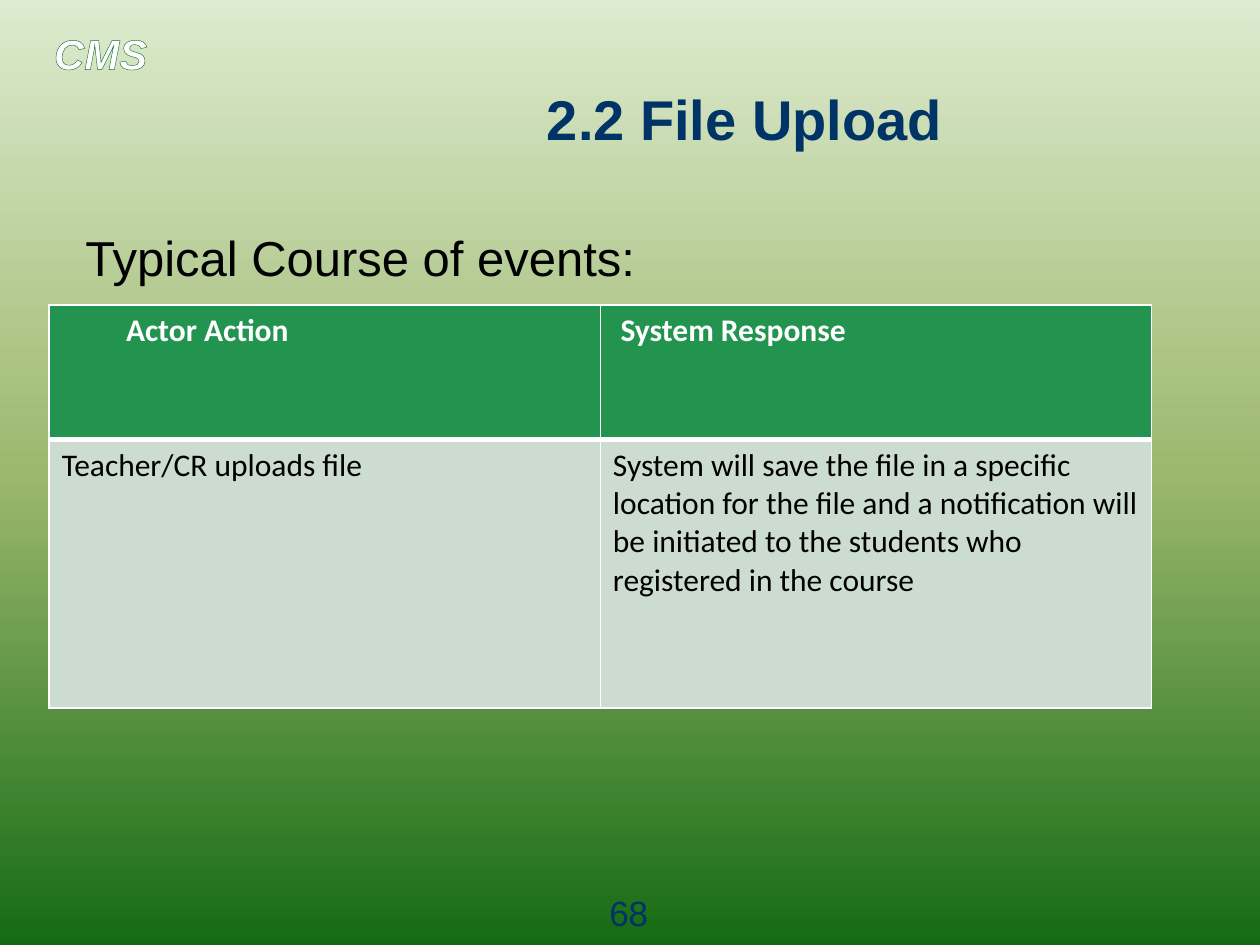
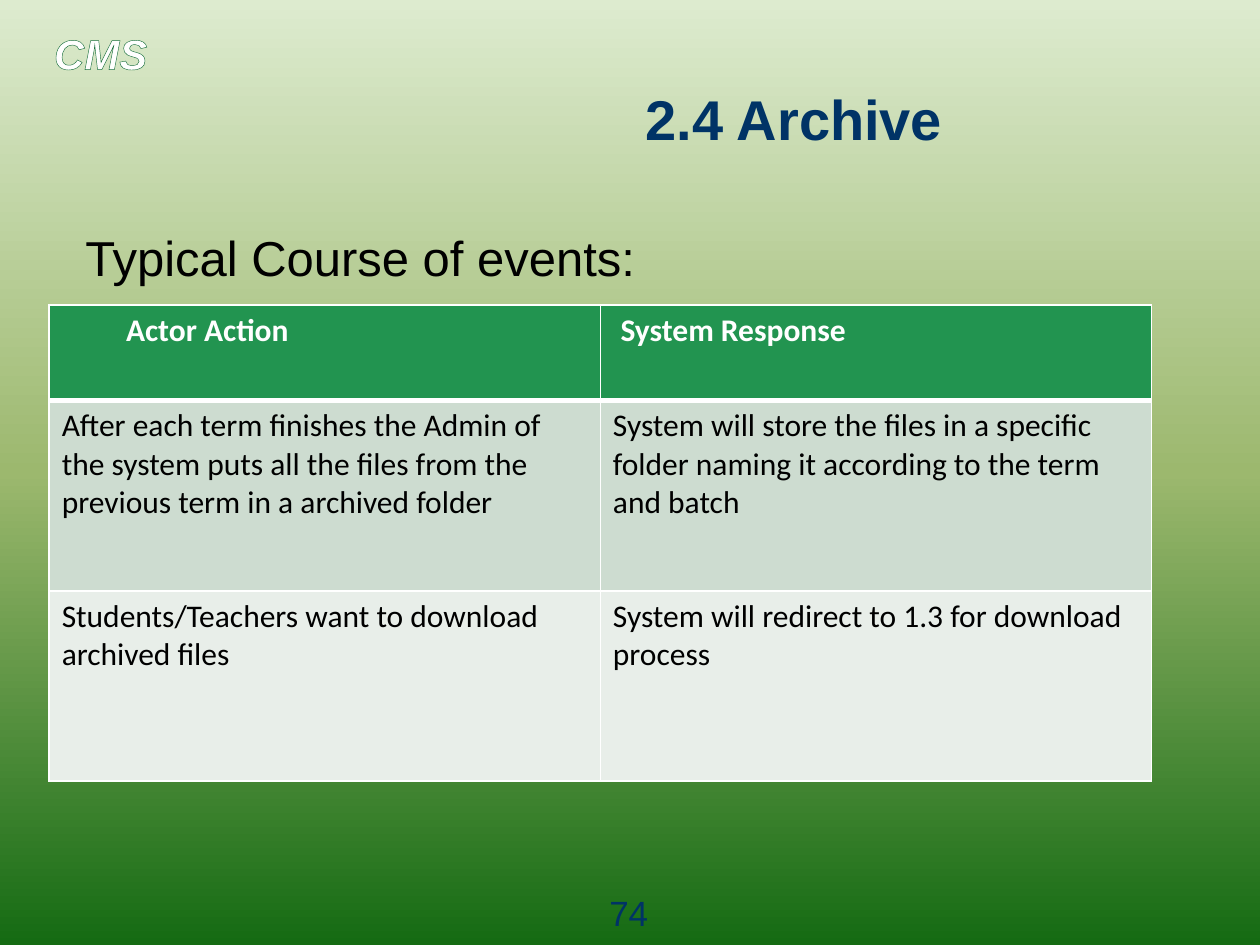
from dataclasses import dataclass

import lxml.etree
import pptx
import pptx.dml.color
import pptx.enum.text
import pptx.oxml
import pptx.oxml.ns
import pptx.presentation
import pptx.slide
import pptx.table
import pptx.text.text
import pptx.util

Inches = pptx.util.Inches
Pt = pptx.util.Pt
Align = pptx.enum.text.PP_ALIGN
Anchor = pptx.enum.text.MSO_ANCHOR

COLORS = {
    "sky": "DDEBCF",
    "meadow": "9CB86E",
    "forest": "156B13",
    "navy": "003366",
    "black": "000000",
    "white": "FFFFFF",
    "brand_outline": "196F3C",
    "header": "229450",
    "odd_row": "CDDCD0",
    "even_row": "E8EEE9",
}
BACKGROUND_STOPS = ((0, "sky"), (50, "meadow"), (100, "forest"))
COLUMN_HEADS = ("Actor Action", "System Response")
HEAD_MARGINS = (0.61, 0.16)
CELL_MARGIN = 0.1
COLUMN_WIDTH = 4.375
TABLE_LEFT, TABLE_TOP = 0.39, 2.42
THIN, THICK = 1, 3


@dataclass(frozen=True)
class TextStyle:
    size: int
    color: str
    font: str = "Arial"
    bold: bool = False
    italic: bool = False


@dataclass(frozen=True)
class Label:
    left: float
    top: float
    width: float
    height: float
    style: TextStyle
    align: Align = Align.LEFT
    anchor: Anchor = Anchor.TOP
    space_before: float = 0


@dataclass(frozen=True)
class UseCase:
    title: str
    page: int
    header_height: float
    row_height: float
    events: tuple[tuple[str, str], ...]


BRAND = Label(0.33, 0.17, 1.5, 0.5, TextStyle(24, "white", bold=True, italic=True))
TITLE = Label(0.58, 0.67, 7, 0.53, TextStyle(32, "navy", bold=True), Align.RIGHT, Anchor.MIDDLE)
SUBTITLE = Label(0.58, 1.76, 8.96, 0.6, TextStyle(28, "black"), space_before=5.6)
PAGE_NUMBER = Label(4.53, 7.03, 0.92, 0.29, TextStyle(20, "navy"), Align.CENTER)
HEAD_STYLE = TextStyle(18, "white", "Calibri", bold=True)
EVENT_STYLE = TextStyle(18, "black", "Calibri")

USE_CASES = (
    UseCase("2.2 File Upload", 68, 1.07, 2.13, (
        ("Teacher/CR uploads file",
         "System will save the file in a specific location for the file and a "
         "notification will be initiated to the students who registered in the course"),
    )),
    UseCase("2.4 Archive", 74, 0.76, 1.51, (
        ("After each term finishes the Admin of the system puts all the files "
         "from the previous term in a archived folder",
         "System will store the files in a specific folder naming it according "
         "to the term and batch"),
        ("Students/Teachers want to download archived files",
         "System will redirect to 1.3 for download process"),
    )),
)


def rgb(color: str) -> pptx.dml.color.RGBColor:
    return pptx.dml.color.RGBColor.from_string(COLORS[color])


def solid_line(tag: str, color: str, points: int) -> lxml.etree.ElementBase:
    return pptx.oxml.parse_xml(
        f'<a:{tag} {pptx.oxml.ns.nsdecls("a")} w="{Pt(points)}"><a:solidFill>'
        f'<a:srgbClr val="{COLORS[color]}"/></a:solidFill></a:{tag}>'
    )


def format_run(run: pptx.text.text._Run, style: TextStyle) -> None:
    run.font.name = style.font
    run.font.size = Pt(style.size)
    run.font.bold = style.bold
    run.font.italic = style.italic
    run.font.color.rgb = rgb(style.color)


def add_label(slide: pptx.slide.Slide, label: Label, text: str) -> pptx.text.text._Run:
    box = slide.shapes.add_textbox(
        Inches(label.left), Inches(label.top), Inches(label.width), Inches(label.height)
    )
    frame = box.text_frame
    frame.word_wrap = True
    frame.vertical_anchor = label.anchor
    frame.text = text
    paragraph = frame.paragraphs[0]
    paragraph.alignment = label.align
    paragraph.space_before = Pt(label.space_before)
    run = paragraph.runs[0]
    format_run(run, label.style)
    return run


def paint_background(slide: pptx.slide.Slide) -> None:
    fill = slide.background.fill
    fill.gradient()
    fill.gradient_angle = 270
    stops = slide.background._cSld.find(".//" + pptx.oxml.ns.qn("a:gsLst"))
    for stop in list(stops):
        stops.remove(stop)
    for percent, color in BACKGROUND_STOPS:
        stop = lxml.etree.SubElement(stops, pptx.oxml.ns.qn("a:gs"), pos=str(percent * 1000))
        lxml.etree.SubElement(stop, pptx.oxml.ns.qn("a:srgbClr"), val=COLORS[color])


def fill_cell(cell: pptx.table._Cell, text: str, style: TextStyle, fill: str,
              margin: float, top: int, bottom: int) -> None:
    cell.text_frame.text = text
    format_run(cell.text_frame.paragraphs[0].runs[0], style)
    cell.margin_left = Inches(margin)
    cell.fill.solid()
    cell.fill.fore_color.rgb = rgb(fill)
    borders = (("lnL", THIN), ("lnR", THIN), ("lnT", top), ("lnB", bottom))
    properties = cell._tc.get_or_add_tcPr()
    for position, (tag, points) in enumerate(borders):
        properties.insert(position, solid_line(tag, "white", points))


def add_events_table(slide: pptx.slide.Slide, case: UseCase) -> None:
    height = case.header_height + case.row_height * len(case.events)
    table = slide.shapes.add_table(
        len(case.events) + 1, len(COLUMN_HEADS), Inches(TABLE_LEFT), Inches(TABLE_TOP),
        Inches(COLUMN_WIDTH * len(COLUMN_HEADS)), Inches(height)
    ).table
    table.horz_banding = False
    for column in table.columns:
        column.width = Inches(COLUMN_WIDTH)
    table.rows[0].height = Inches(case.header_height)
    for index, (head, margin) in enumerate(zip(COLUMN_HEADS, HEAD_MARGINS)):
        fill_cell(table.cell(0, index), head, HEAD_STYLE, "header", margin, THIN, THICK)
    for row, event in enumerate(case.events, start=1):
        table.rows[row].height = Inches(case.row_height)
        fill = "odd_row" if row % 2 else "even_row"
        top = THICK if row == 1 else THIN
        for index, text in enumerate(event):
            fill_cell(table.cell(row, index), text, EVENT_STYLE, fill, CELL_MARGIN, top, THIN)


def add_use_case(deck: pptx.presentation.Presentation, case: UseCase) -> None:
    slide = deck.slides.add_slide(deck.slide_layouts[6])
    paint_background(slide)
    brand = add_label(slide, BRAND, "CMS")
    brand._r.get_or_add_rPr().insert(0, solid_line("ln", "brand_outline", 1))
    add_label(slide, TITLE, case.title)
    add_label(slide, SUBTITLE, "Typical Course of events:")
    add_label(slide, PAGE_NUMBER, str(case.page))
    add_events_table(slide, case)


def main() -> None:
    deck = pptx.Presentation()
    deck.slide_width = Inches(10)
    deck.slide_height = Inches(7.5)
    for case in USE_CASES:
        add_use_case(deck, case)
    deck.save("out.pptx")


if __name__ == "__main__":
    main()
